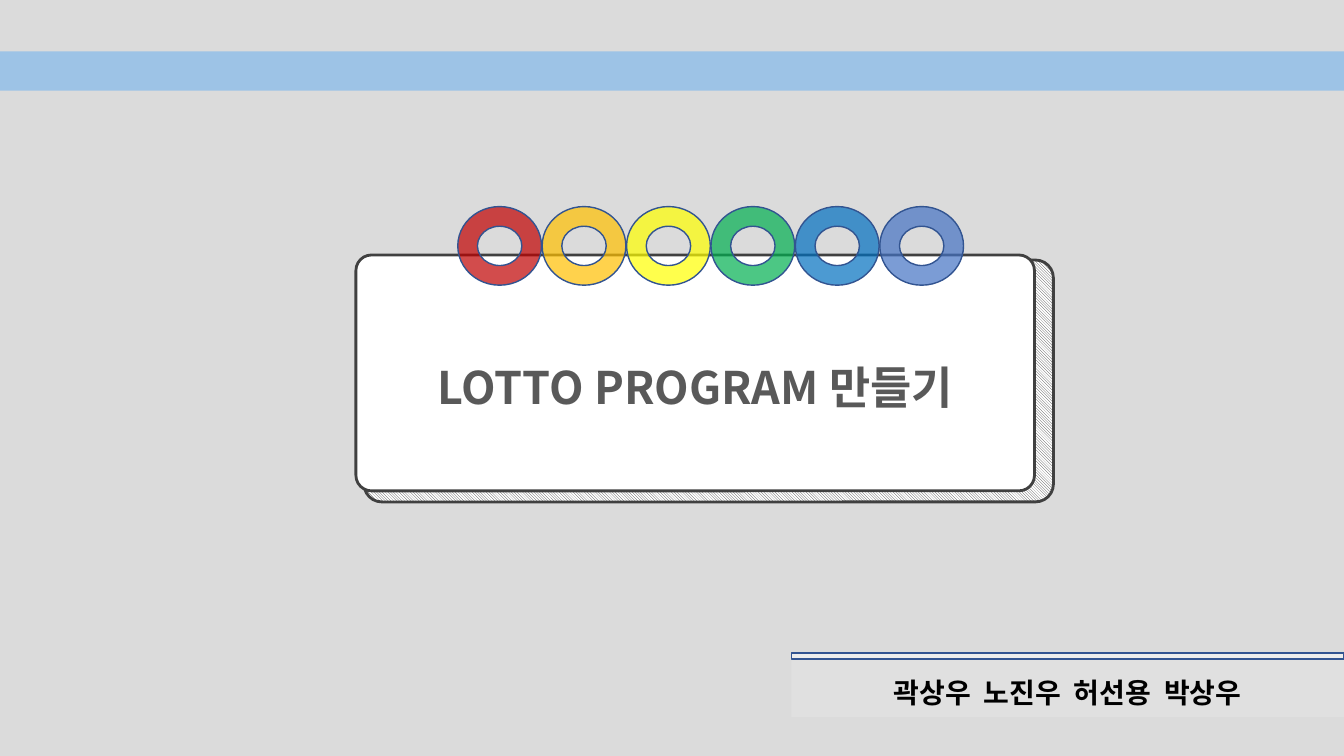
from pptx import Presentation, util as u
from pptx.dml.color import RGBColor
from pptx.enum import dml, shapes, text
from pptx.oxml.ns import qn
from lxml import etree

TITLE = "LOTTO PROGRAM 만들기"
AUTHORS = ["곽상우", "노진우", "허선용", "박상우"]
RINGS = ["red", "orange", "yellow", "green", "blue", "indigo"]
COLORS = {
    "background": "DBDBDB", "band": "9DC3E6", "panel": "E7E6E6",
    "rule": "EDEDED", "outline": "325491", "ink": "404040",
    "white": "FFFFFF", "title": "595959", "black": "000000",
    "red": "C00000", "orange": "FFC000", "yellow": "FFFF00",
    "green": "00B050", "blue": "0070C0", "indigo": "4472C4",
}
KOREAN = "Noto Sans CJK KR"

WIDTH, HEIGHT = u.Inches(13.33), u.Inches(7.5)
BAND = (0, 6.8, 100, 5.2)
AUTHOR_PANEL = (58.88, 86.4, 41.12, 7.2)
AUTHOR_RULE = (58.88, 86.4, 41.12, 0.8)
CARD_SHADE = (27.08, 34.4, 51.3, 32)
CARD = (26.48, 33.73, 50.49, 31.2)
FIRST_RING = (34.06, 27.33, 6.23, 10.4)
RING_PITCH = 6.28


def color(name):
    return RGBColor.from_string(COLORS[name])


def place(area):
    left, top, width, height = area
    return [int(share * side / 100) for share, side in
            ((left, WIDTH), (top, HEIGHT), (width, WIDTH), (height, HEIGHT))]


def paint(shape, name, opacity=100):
    shape.fill.solid()
    shape.fill.fore_color.rgb = color(name)
    if opacity < 100:
        tone = shape.fill._xPr.find(qn("a:solidFill"))[0]
        etree.SubElement(tone, qn("a:alpha"), val=str(opacity * 1000))


def add_box(parent, kind, area, fill, opacity=100, line=None, weight=1, corner=None):
    box = parent.add_shape(kind, *place(area))
    box.shadow.inherit = False
    paint(box, fill, opacity)
    if line:
        box.line.color.rgb = color(line)
        box.line.width = u.Pt(weight)
    else:
        box.line.fill.background()
    if corner:
        box.adjustments[0] = corner
    return box


def write(box, words, area, size, font, ink, anchor, fit):
    box.left, box.top, box.width, box.height = place(area)
    frame = box.text_frame
    frame.word_wrap = True
    frame.auto_size = fit
    frame.vertical_anchor = anchor
    para = frame.paragraphs[0]
    para.alignment = text.PP_ALIGN.CENTER
    para.line_spacing = 1.5
    para.space_before = u.Pt(0)
    span = para.add_run()
    span.text = words
    span.font.size = u.Pt(size)
    span.font.bold = True
    span.font.name = font
    span.font.color.rgb = color(ink)
    etree.SubElement(span.font._element, qn("a:ea"), typeface=KOREAN)


def main():
    deck = Presentation()
    deck.slide_width, deck.slide_height = WIDTH, HEIGHT
    page = deck.slides.add_slide(deck.slide_layouts[0])
    page.background.fill.solid()
    page.background.fill.fore_color.rgb = color("background")
    title, authors = page.placeholders
    kinds = shapes.MSO_SHAPE

    write(authors, "  ".join(AUTHORS), AUTHOR_PANEL, 20, "Arial", "black",
          text.MSO_ANCHOR.TOP, text.MSO_AUTO_SIZE.SHAPE_TO_FIT_TEXT)
    paint(authors, "panel", 48)
    add_box(page.shapes, kinds.RECTANGLE, AUTHOR_RULE, "rule", line="outline")

    shade = add_box(page.shapes, kinds.ROUNDED_RECTANGLE, CARD_SHADE, "white",
                    line="ink", weight=2, corner=0.074)
    shade.fill.patterned()
    shade.fill.pattern = dml.MSO_PATTERN.DARK_DOWNWARD_DIAGONAL
    shade.fill.fore_color.rgb = color("ink")
    shade.fill.back_color.rgb = color("white")
    card = add_box(page.shapes, kinds.ROUNDED_RECTANGLE, CARD, "white",
                   line="ink", weight=2, corner=0.066)
    write(title, TITLE, CARD, 32, KOREAN, "title",
          text.MSO_ANCHOR.MIDDLE, text.MSO_AUTO_SIZE.NONE)
    card._element.addnext(title._element)

    rings = page.shapes.add_group_shape().shapes
    left, *rest = FIRST_RING
    for index, name in enumerate(RINGS):
        add_box(rings, kinds.DONUT, (left + index * RING_PITCH, *rest), name,
                opacity=70, line="outline")

    add_box(page.shapes, kinds.RECTANGLE, BAND, "band")
    deck.save("out.pptx")


if __name__ == "__main__":
    main()
